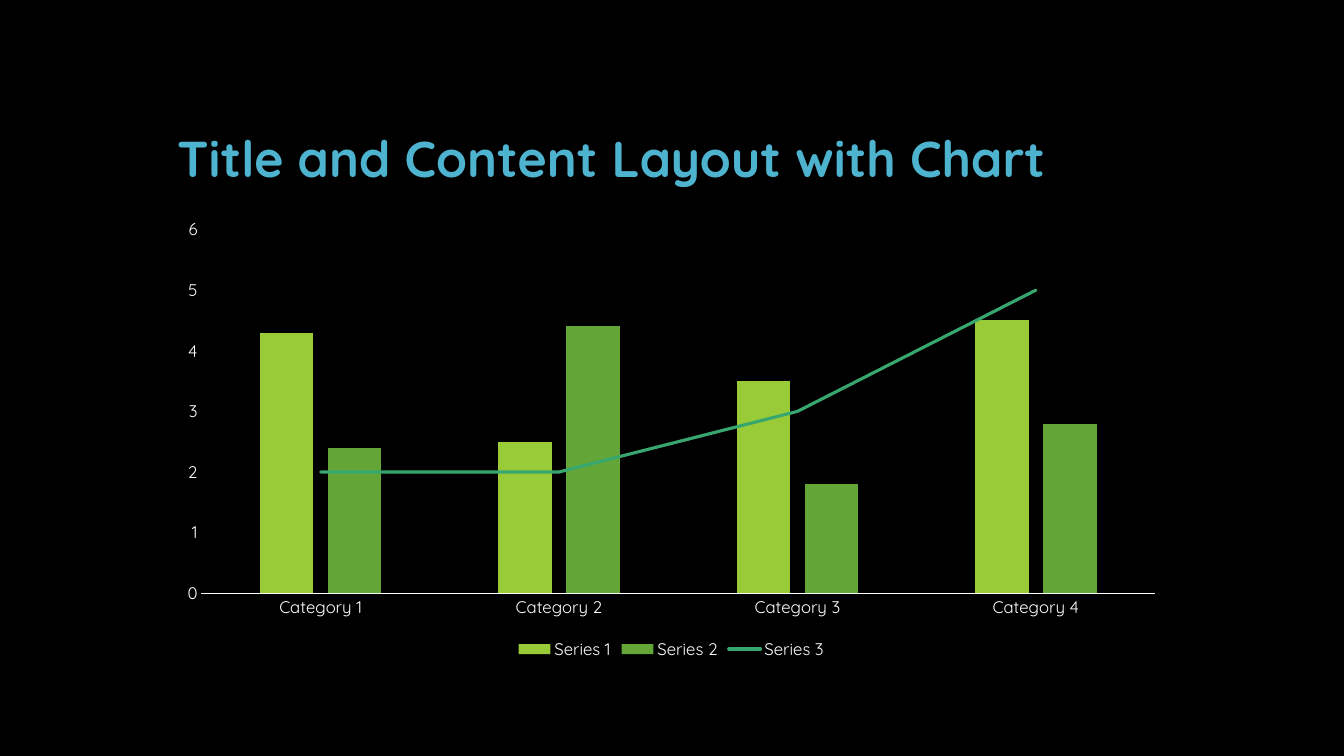
from pptx import Presentation
from pptx.chart.data import CategoryChartData
from pptx.dml.color import RGBColor
from pptx.enum.chart import XL_CHART_TYPE, XL_LEGEND_POSITION, XL_MARKER_STYLE, XL_TICK_MARK
from pptx.enum.text import MSO_ANCHOR
from pptx.oxml import parse_xml
from pptx.oxml.ns import nsdecls, qn
from pptx.util import Pt

COLUMNS = XL_CHART_TYPE.COLUMN_CLUSTERED
BOTTOM_LEGEND = XL_LEGEND_POSITION.BOTTOM
NO_MARKER = XL_MARKER_STYLE.NONE
NO_TICK = XL_TICK_MARK.NONE
BOTTOM = MSO_ANCHOR.BOTTOM

BLACK = RGBColor(0x00, 0x00, 0x00)
WHITE = RGBColor(0xFF, 0xFF, 0xFF)
BLUE = RGBColor(0x4E, 0xB3, 0xCF)
LIME = RGBColor(0x99, 0xCB, 0x38)
GREEN = RGBColor(0x63, 0xA5, 0x37)
TEAL = RGBColor(0x37, 0xA7, 0x6F)
FONT = "Quicksand"
LEFT, WIDTH = Pt(119.5), Pt(720)


def style_font(font, size, color):
    font.name = FONT
    font.size = Pt(size)
    font.color.rgb = color


prs = Presentation()
prs.slide_width, prs.slide_height = Pt(960), Pt(540)
slide = prs.slides.add_slide(prs.slide_layouts[6])
slide.background.fill.solid()
slide.background.fill.fore_color.rgb = BLACK

title = slide.shapes.add_textbox(LEFT, Pt(30), WIDTH, Pt(108)).text_frame
title.word_wrap = True
title.vertical_anchor = BOTTOM
heading = title.paragraphs[0]
heading.line_spacing = 0.9
heading_run = heading.add_run()
heading_run.text = "Title and Content Layout with Chart"
heading_run.font.bold = True
style_font(heading_run.font, 36, BLUE)

data = CategoryChartData()
data.categories = [f"Category {number}" for number in range(1, 5)]
data.add_series("Series 1", (4.3, 2.5, 3.5, 4.5))
data.add_series("Series 2", (2.4, 4.4, 1.8, 2.8))
data.add_series("Series 3", (2, 2, 3, 5))
chart = slide.shapes.add_chart(COLUMNS, LEFT, Pt(150), WIDTH, Pt(324), data).chart
chart.has_title = False
style_font(chart.font, 10, WHITE)

chart.has_legend = True
chart.legend.position = BOTTOM_LEGEND
chart.legend.include_in_layout = False
style_font(chart.legend.font, 12, WHITE)

for axis in (chart.category_axis, chart.value_axis):
    axis.has_major_gridlines = False
    axis.major_tick_mark = axis.minor_tick_mark = NO_TICK
    style_font(axis.tick_labels.font, 12, WHITE)
chart.category_axis.format.line.color.rgb = WHITE
chart.category_axis.format.line.width = Pt(0.75)
chart.value_axis.format.line.fill.background()
chart.value_axis.minimum_scale = 0
chart.value_axis.maximum_scale = 6
chart.value_axis.major_unit = 1

columns = chart.plots[0]
columns.vary_by_categories = False
columns.gap_width = 219
columns.overlap = -27
for series, color in zip(columns.series, (LIME, GREEN)):
    series.format.fill.solid()
    series.format.fill.fore_color.rgb = color

bar_chart = chart._chartSpace.find(".//" + qn("c:barChart"))
line_series = bar_chart.findall(qn("c:ser"))[2]
for invert in line_series.findall(qn("c:invertIfNegative")):
    line_series.remove(invert)
line_chart = parse_xml(
    f'<c:lineChart {nsdecls("c")}><c:grouping val="standard"/>'
    '<c:varyColors val="0"/><c:marker val="1"/></c:lineChart>'
)
line_chart.insert(2, line_series)
for axis_id in bar_chart.findall(qn("c:axId")):
    line_chart.append(parse_xml(f'<c:axId {nsdecls("c")} val="{axis_id.get("val")}"/>'))
bar_chart.addnext(line_chart)

trend = chart.plots[1].series[0]
trend.smooth = False
trend.marker.style = NO_MARKER
trend.format.line.color.rgb = TEAL
trend.format.line.width = Pt(2.25)
for outline in line_series.iter(qn("a:ln")):
    outline.set("cap", "rnd")

prs.save("out.pptx")
